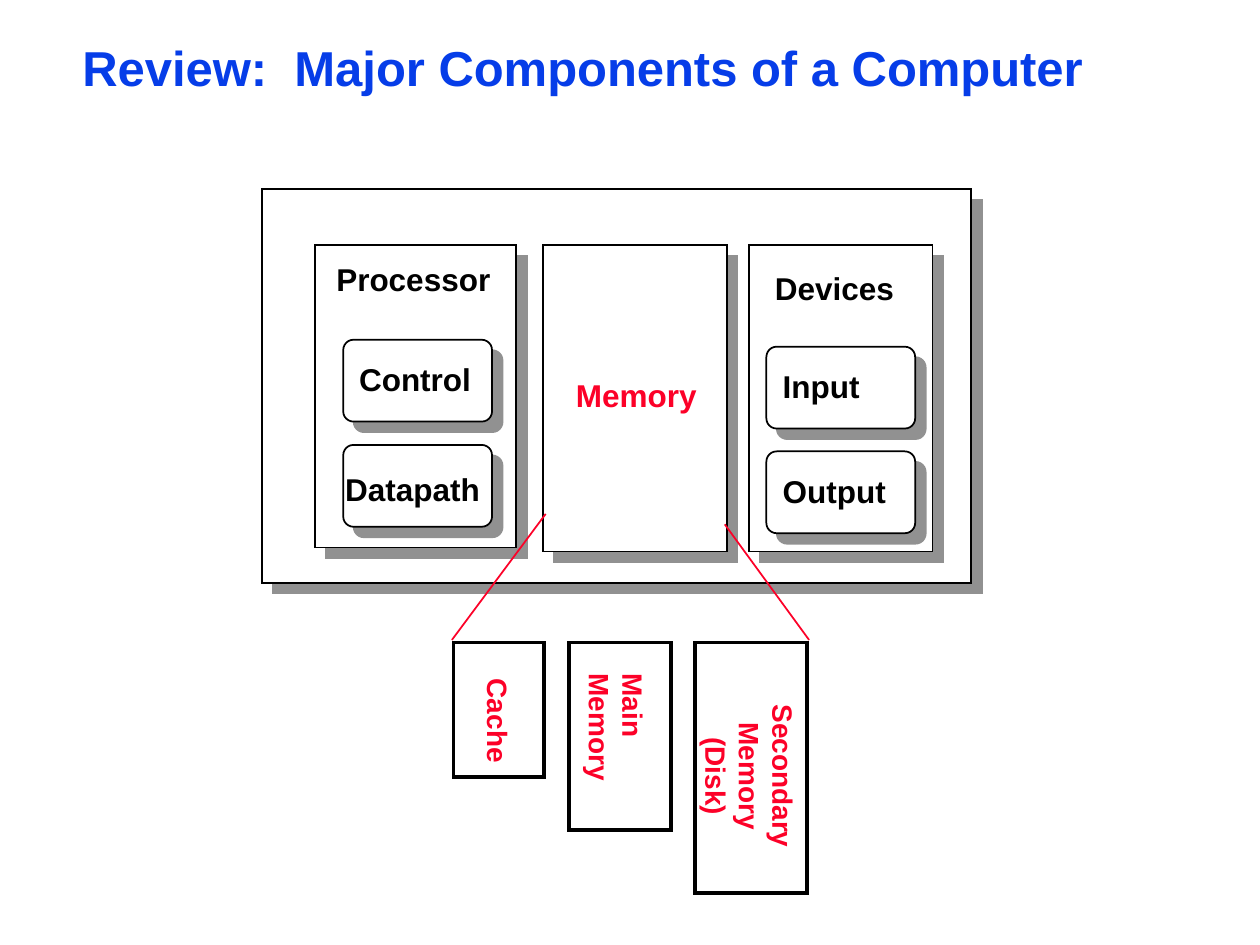
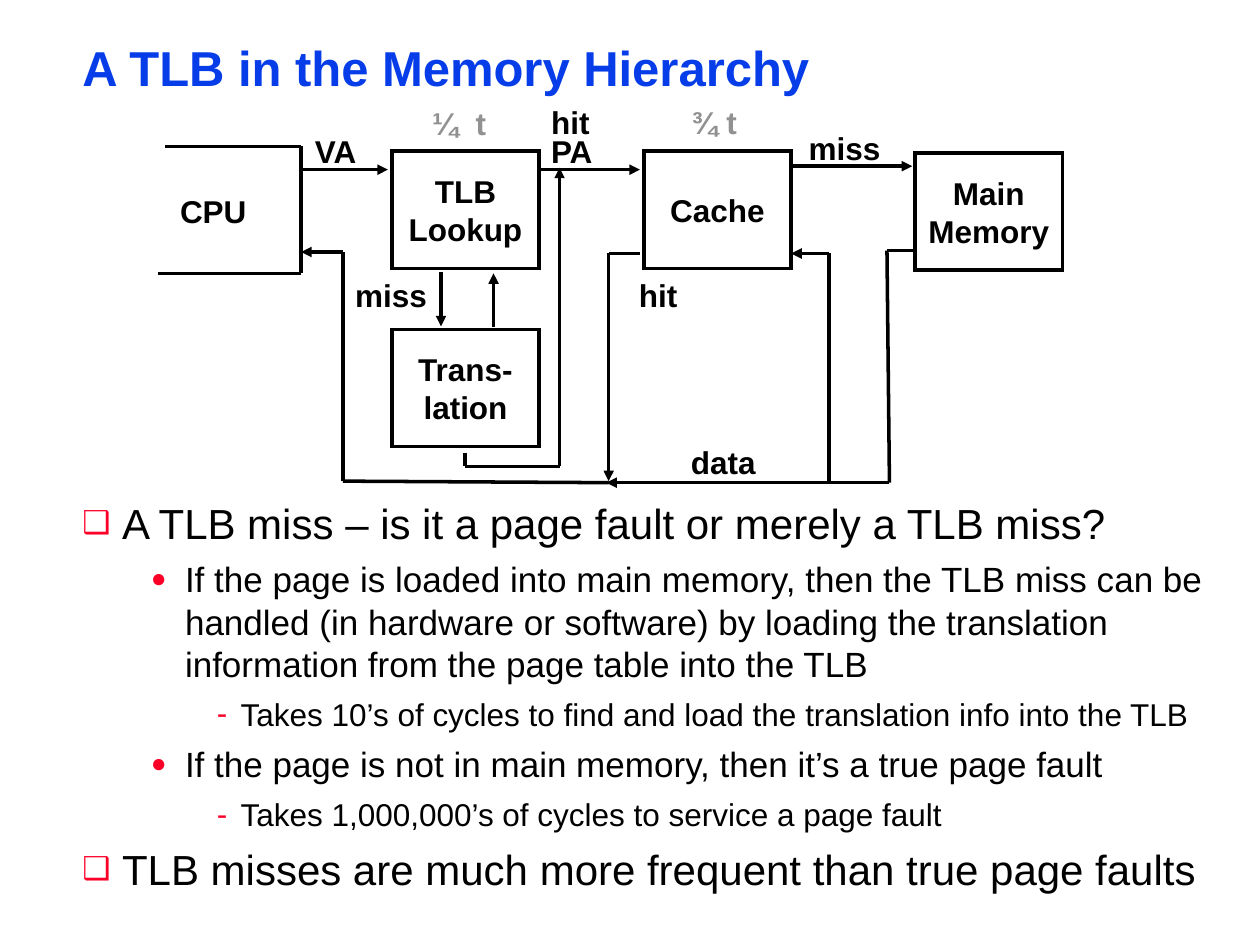
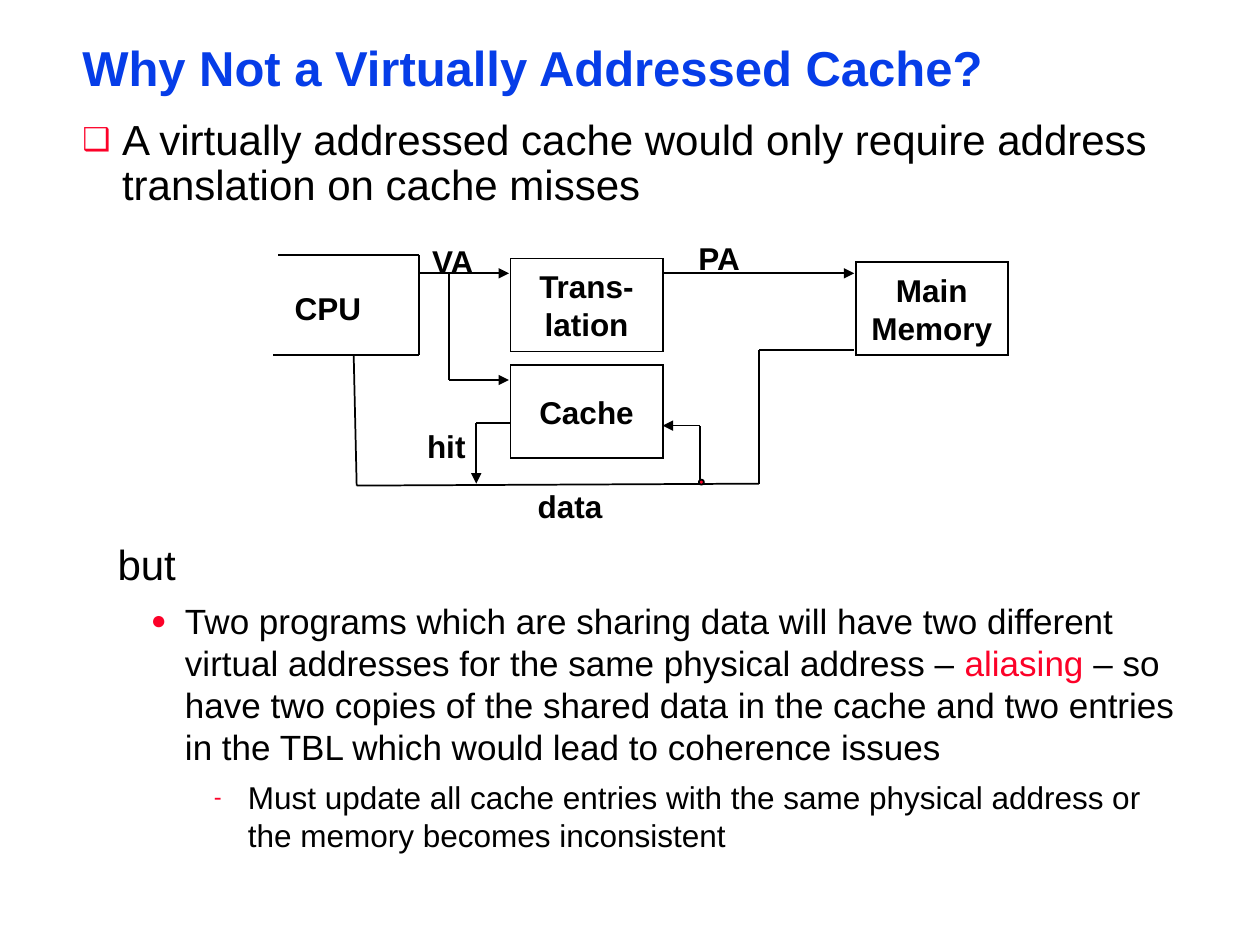
from itertools import pairwise

from lxml.etree import SubElement
from pptx import Presentation
from pptx.dml.color import RGBColor
from pptx.enum.shapes import MSO_CONNECTOR as Link, MSO_SHAPE as Kind
from pptx.enum.text import MSO_ANCHOR as Anchor, MSO_AUTO_SIZE as Fit, PP_ALIGN as Align
from pptx.oxml.ns import qn
from pptx.util import Cm, Pt

INK = {"black": "000000", "white": "FFFFFF", "blue": "063DE8", "red": "FC0128", "gray": "919191"}
FONT = "Arial"

# Per list level: text size, left margin, hang, bullet, bullet percent
LEVELS = [
    (24, 0.8, 0.8, "❑", 75),
    (20, 2.07, 0.69, "●", 75),
    (18, 3.19, 0.48, "-", 100),
]
WIDE = (18, 3.34, 0.69, "-", 75)  # deeper dash level
PLAIN = (24, 0.71, 0, None, 0)  # level without a bullet


def rgb(name):
    return RGBColor.from_string(INK[name])


# Text
def put(par, text, size=18, bold=True, color="black"):
    run = par.add_run()
    run.text = text
    font = run.font
    font.name, font.size, font.bold = FONT, Pt(size), bold
    font.color.rgb = rgb(color)


def fill(frame, text, align=Align.LEFT, lead=1.0, **fmt):
    for n, line in enumerate(text.split("\n")):
        par = frame.add_paragraph() if n else frame.paragraphs[0]
        par.alignment, par.line_spacing = align, lead
        put(par, line, **fmt)


def setup(frame, wrap=True, pad=(0.18, 0.08), fit=Fit.SHAPE_TO_FIT_TEXT):
    frame.word_wrap, frame.auto_size = wrap, fit
    frame.vertical_anchor = Anchor.TOP
    frame.margin_left = frame.margin_right = Cm(pad[0])
    frame.margin_top = frame.margin_bottom = Cm(pad[1])


def place(shape, left, top, width, height):
    shape.left, shape.top = Cm(left), Cm(top)
    shape.width, shape.height = Cm(width), Cm(height)


def label(slide, text, left, top, width, height=0.76,
          pad=(0.18, 0.08), turn=0, lead=0.85, **fmt):
    box = slide.shapes.add_textbox(Cm(left), Cm(top), Cm(width), Cm(height))
    setup(box.text_frame, pad=pad)
    fill(box.text_frame, text, lead=lead, **fmt)
    box.rotation = turn


def mark(par, left, hang, sign, part):
    props = par._p.get_or_add_pPr()
    props.set("marL", str(Cm(left)))
    props.set("indent", str(-Cm(hang)))
    if not sign:
        SubElement(props, qn("a:buNone"))
        return
    tint = SubElement(props, qn("a:buClr"))
    SubElement(tint, qn("a:srgbClr"), val=INK["red"])
    SubElement(props, qn("a:buSzPct"), val=str(part * 1000))
    SubElement(props, qn("a:buFont"), typeface=FONT)
    SubElement(props, qn("a:buChar"), char=sign)


def items(frame, rows, lead=1.0):
    """Each row is a level style and its runs, as (text, color) pairs or a string."""
    setup(frame)
    for n, (style, runs) in enumerate(rows):
        par = frame.add_paragraph() if n else frame.paragraphs[0]
        size, *bullet = style
        mark(par, *bullet)
        par.font.name, par.font.size = FONT, Pt(size)
        par.alignment, par.line_spacing = Align.LEFT, lead
        par.space_before = Pt(6 if n else 0)
        for text, color in [(runs, "black")] if isinstance(runs, str) else runs:
            put(par, text, size=size, bold=False, color=color)


# Shapes and lines
def block(slide, left, top, width, height, text="", kind=Kind.RECTANGLE,
          color=None, line=1, shade=False):
    shape = slide.shapes.add_shape(kind, Cm(left), Cm(top), Cm(width), Cm(height))
    shape.shadow.inherit = False
    if color:
        shape.fill.solid()
        shape.fill.fore_color.rgb = rgb(color)
    else:
        shape.fill.background()
    shape.line.color.rgb, shape.line.width = rgb("black"), Pt(line)
    props = shape._element.spPr
    SubElement(props.find(qn("a:ln")), qn("a:miter"), lim="800000")
    if kind == Kind.ROUNDED_RECTANGLE:
        shape.adjustments[0] = 0.125
    if shade:
        drop = SubElement(props.find(qn("a:effectLst")), qn("a:outerShdw"),
                          dist=str(Pt(8.5)), dir="2700000", algn="ctr", rotWithShape="0")
        SubElement(drop, qn("a:srgbClr"), val=INK["gray"])
    if text:
        setup(shape.text_frame, False, (0.25, 0.13), Fit.NONE)
        shape.text_frame.vertical_anchor = Anchor.MIDDLE
        fill(shape.text_frame, text, align=Align.CENTER)


def wire(slide, *dots, width=1, color="black", tip=False):
    """Join the dots with straight lines; tip puts an arrowhead on the last."""
    for start, end in pairwise(dots):
        line = slide.shapes.add_connector(Link.STRAIGHT, *map(Cm, start + end))
        line.line.color.rgb, line.line.width = rgb(color), Pt(width)
        props = line._element.spPr
        if tip and end == dots[-1]:
            SubElement(props.find(qn("a:ln")), qn("a:tailEnd"), type="triangle")
        SubElement(props, qn("a:effectLst"))


def start(deck, title, layout=1):
    slide = deck.slides.add_slide(deck.slide_layouts[layout])
    head = slide.shapes.title
    place(head, 1.48, 0.84, 22.66, 1.17)
    setup(head.text_frame)
    fill(head.text_frame, title, lead=0.87, size=28, color="blue")
    return slide


# Slides
def parts(deck):
    slide = start(deck, "Review:  Major Components of a Computer", 5)

    # Computer and its three units
    for spot in [(5.29, 3.81, 14.29, 7.94), (6.35, 4.94, 4.06, 6.1),
                 (10.95, 4.94, 3.7, 6.18), (15.1, 4.94, 3.7, 6.18)]:
        block(slide, *spot, color="white", shade=True)
    for left, top in [(6.92, 6.85), (6.92, 8.97), (15.45, 6.99), (15.45, 9.1)]:
        block(slide, left, top, 3, 1.65, kind=Kind.ROUNDED_RECTANGLE,
              color="white", shade=True)
    for name, *spot in [
        ("Processor", 6.6, 5.28, 3.8), ("Control", 7.06, 7.3, 2.9),
        ("Datapath", 6.78, 9.52, 3.4), ("Devices", 15.44, 5.46, 3.1),
        ("Input", 15.6, 7.44, 2.2), ("Output", 15.6, 9.55, 2.7),
    ]:
        label(slide, name, *spot)
    label(slide, "Memory", 11.43, 7.62, 3.1, color="red")

    # Memory levels
    for left, width, height in [(9.14, 1.83, 2.72), (11.47, 2.06, 3.78), (14.01, 2.26, 5.05)]:
        block(slide, left, 12.95, width, height, line=2)
    for name, spot, align in [
        ("Cache", (8.77, 14.27, 2.58, 0.91), Align.LEFT),
        ("Main Memory", (10.85, 14.12, 3.18, 1.6), Align.LEFT),
        ("Secondary Memory\n(Disk)", (13, 14.5, 4.24, 2.29), Align.CENTER),
    ]:
        label(slide, name, *spot, align=align, pad=(0.25, 0.13),
              turn=90, lead=1.0, size=16, color="red")
    wire(slide, (11, 10.36), (9.11, 12.9), color="red")
    wire(slide, (14.61, 10.57), (16.31, 12.9), color="red")


def lookup(deck):
    slide = start(deck, "A TLB in the Memory Hierarchy")
    body = slide.placeholders[1]
    place(body, 1.48, 9.94, 23.06, 8.23)
    one, two, three = LEVELS
    items(body.text_frame, [
        (one, "A TLB miss – is it a page fault or merely a TLB miss?"),
        (two, "If the page is loaded into main memory, then the TLB miss can be handled "
              "(in hardware or software) by loading the translation information from "
              "the page table into the TLB"),
        (three, "Takes 10’s of cycles to find and load the translation info into the TLB"),
        (two, "If the page is not in main memory, then it’s a true page fault"),
        (three, "Takes 1,000,000’s of cycles to service a page fault"),
        (one, "TLB misses are much more frequent than true page faults"),
    ])

    # Units
    for name, left, top in [("TLB\nLookup", 7.9, 3.05), ("Cache", 12.98, 3.05),
                            ("Main\nMemory", 18.45, 3.09), ("Trans-\nlation", 7.9, 6.64)]:
        block(slide, left, top, 2.97, 2.36, name, line=2)
    wire(slide, (3.33, 2.95), (6.07, 2.95), (6.07, 5.51), (3.18, 5.51), width=2)

    # Signals
    for dots in [
        [(6.1, 3.42), (7.82, 3.42)],
        [(10.87, 3.42), (12.9, 3.42)],
        [(15.98, 3.35), (18.39, 3.35)],
        [(18.44, 5.05), (17.88, 5.05), (17.93, 9.73), (12.22, 9.73)],
        [(12.27, 9.73), (6.91, 9.7), (6.91, 5.08), (6.07, 5.08)],
        [(16.71, 9.73), (16.71, 5.11), (15.95, 5.11)],
        [(12.9, 5.11), (12.27, 5.11), (12.27, 9.7)],
        [(8.89, 5.49), (8.89, 6.58)],
        [(9.95, 6.6), (9.95, 5.51)],
        [(9.37, 9.14), (9.37, 9.4), (11.28, 9.4), (11.28, 3.38)],
    ]:
        wire(slide, *dots, width=2, tip=True)
    for name, *spot in [
        ("CPU", 3.45, 3.91, 2), ("VA", 6.17, 2.7, 1.5), ("PA", 10.93, 2.7, 1.5),
        ("miss", 16.12, 2.64, 2.1), ("hit", 12.7, 5.61, 1.4), ("data", 13.75, 8.97, 1.95),
        ("hit", 10.93, 2.11, 1.4), ("miss", 6.98, 5.61, 2.1),
    ]:
        label(slide, name, *spot)
    label(slide, "¾ t", 13.76, 2.11, 1.6, color="gray")
    label(slide, "¼  t", 8.53, 2.14, 1.8, color="gray")


def alias(deck):
    slide = start(deck, "Why Not a Virtually Addressed Cache?")
    body = slide.placeholders[1]
    place(body, 1.48, 2.32, 22.66, 2.16)
    items(body.text_frame, [
        (LEVELS[0], "A virtually addressed cache would only require address "
                    "translation on cache misses"),
    ], lead=0.9)

    # Units
    for name, left, top in [("Trans-\nlation", 10.29, 5.21), ("Cache", 10.29, 7.36),
                            ("Main\nMemory", 17.25, 5.28)]:
        block(slide, left, top, 3.07, 1.88, name)
    wire(slide, (5.61, 5.14), (8.44, 5.14), (8.44, 7.16), (5.51, 7.16))

    # Signals
    for dots in [
        [(8.46, 5.51), (10.26, 5.51)],
        [(9.05, 5.51), (9.05, 7.66), (10.26, 7.66)],
        [(13.39, 5.51), (17.22, 5.51)],
        [(14.11, 9.77), (14.11, 8.58), (13.36, 8.58)],
        [(10.29, 8.53), (9.6, 8.53), (9.6, 9.75)],
    ]:
        wire(slide, *dots, tip=True)
    wire(slide, (17.22, 7.06), (15.3, 7.06), (15.3, 9.75), (7.19, 9.79), (7.13, 7.16))
    block(slide, 14.09, 9.67, 0.1, 0.1, kind=Kind.OVAL, color="red")
    for name, *spot in [
        ("data", 10.66, 9.86, 1.95), ("CPU", 5.76, 5.87, 2), ("VA", 8.53, 4.92, 1.5),
        ("hit", 8.43, 8.64, 1.4), ("PA", 13.9, 4.86, 1.5),
    ]:
        label(slide, name, *spot)

    # Drawback
    note = slide.shapes.add_textbox(Cm(1.48), Cm(10.78), Cm(22.66), Cm(6.6))
    items(note.text_frame, [
        (PLAIN, "but"),
        (LEVELS[1], [
            ("Two programs which are sharing data will have two different virtual "
             "addresses for the same physical address – ", "black"),
            ("aliasing ", "red"),
            ("– so have two copies of the shared data in the cache and two entries in "
             "the TBL which would lead to coherence issues", "black"),
        ]),
        (WIDE, "Must update all cache entries with the same physical address or "
               "the memory becomes inconsistent"),
    ])


def main():
    deck = Presentation()
    deck.slide_width, deck.slide_height = Cm(25.4), Cm(19.05)
    parts(deck)
    lookup(deck)
    alias(deck)
    deck.save("out.pptx")


if __name__ == "__main__":
    main()
